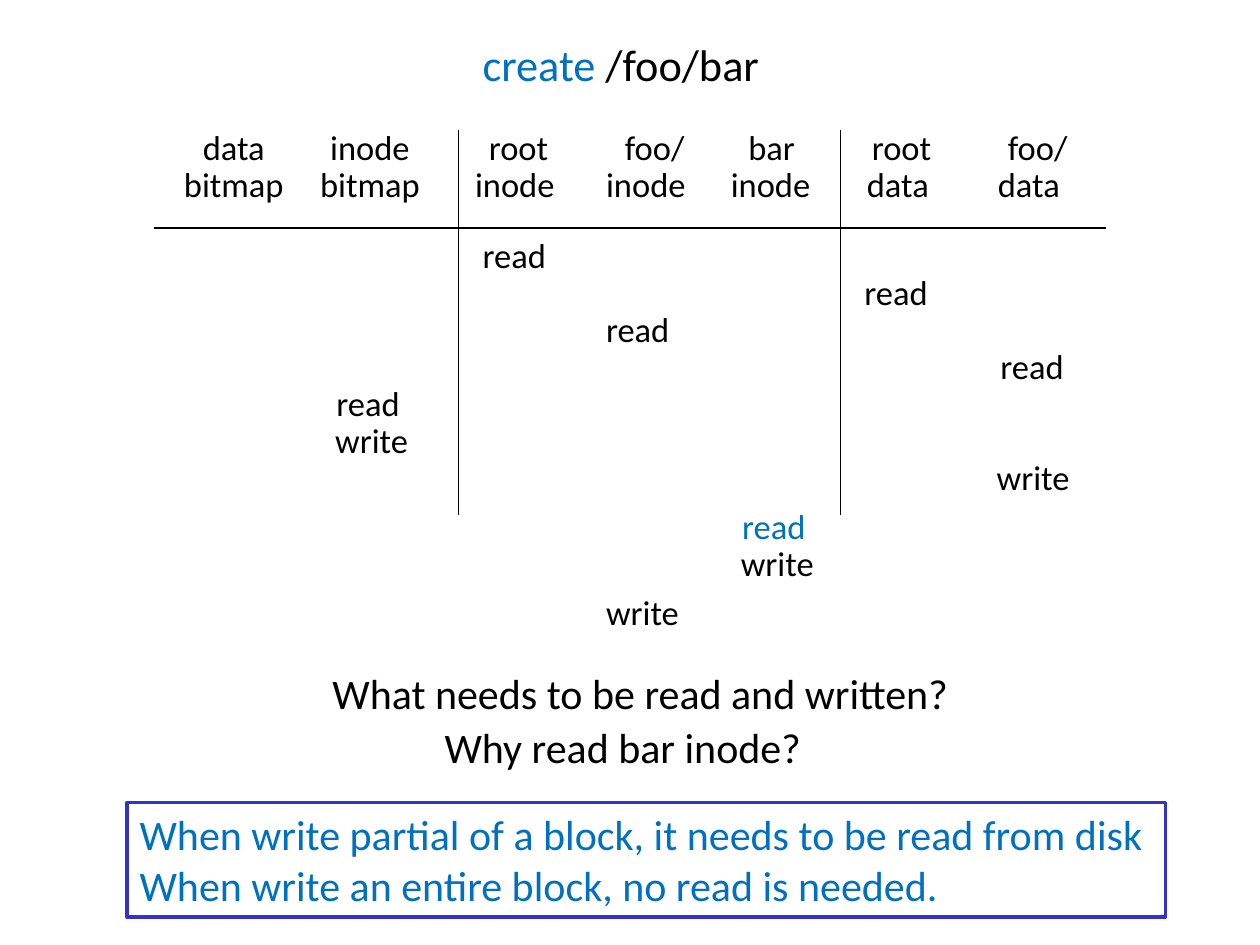
from lxml.etree import SubElement
from pptx import Presentation
from pptx.dml.color import RGBColor
from pptx.enum.shapes import MSO_CONNECTOR, MSO_SHAPE
from pptx.enum.text import MSO_ANCHOR, MSO_AUTO_SIZE, PP_ALIGN
from pptx.oxml.ns import qn
from pptx.util import Inches, Pt

COLORS = {"text": "000000", "accent": "0070C0", "border": "3333CC", "paper": "FFFFFF"}
FONT = "Calibri"
CELL_SIZE = 19.7
CELL_HEIGHT = 0.41
ROW_STEP = 0.293
WIDTHS = {"data": 0.58, "inode": 0.72, "root": 0.56, "foo/": 0.57, "bar": 0.46,
          "bitmap": 0.88, "read": 0.59, "write": 0.66}

HEADERS = [
    (("data", 0.35), ("bitmap", 0.2)),
    (("inode", 1.36), ("bitmap", 1.28)),
    (("root", 2.62), ("inode", 2.51)),
    (("foo/", 3.7), ("inode", 3.55)),
    (("bar", 4.68), ("inode", 4.54)),
    (("root", 5.66), ("data", 5.62)),
    (("foo/", 6.74), ("data", 6.66)),
]
ACCESSES = [
    ("read", 2.57, 0, "text"),
    ("read", 5.6, 1, "text"),
    ("read", 3.55, 2, "text"),
    ("read", 6.68, 3, "text"),
    ("read", 1.41, 4, "text"),
    ("write", 1.4, 5, "text"),
    ("write", 6.65, 6, "text"),
    ("read", 4.63, 7.33, "accent"),
    ("write", 4.62, 8.33, "text"),
    ("write", 3.55, 9.67, "text"),
]


def rgb(name):
    return RGBColor.from_string(COLORS[name])


def set_font(font, size, color):
    font.name = FONT
    font.size = Pt(size)
    font.color.rgb = rgb(color)


def tighten(tf):
    tf.margin_left = tf.margin_right = tf.margin_top = tf.margin_bottom = Inches(0.04)
    tf.vertical_anchor = MSO_ANCHOR.MIDDLE


def add_text(s, text, left, top, width, height, size, color="text"):
    sp = s.shapes.add_textbox(Inches(left), Inches(top), Inches(width), Inches(height))
    tf = sp.text_frame
    tf.word_wrap = False
    tf.auto_size = MSO_AUTO_SIZE.SHAPE_TO_FIT_TEXT
    p = tf.paragraphs[0]
    p.text = text
    set_font(p.font, size, color)
    return tf


def add_cell(s, word, left, top, color="text"):
    tighten(add_text(s, word, left, top, WIDTHS[word], CELL_HEIGHT, CELL_SIZE, color))


def add_line(s, x1, y1, x2, y2):
    line = s.shapes.add_connector(
        MSO_CONNECTOR.STRAIGHT, Inches(x1), Inches(y1), Inches(x2), Inches(y2))
    line.line.color.rgb = rgb("text")
    line.line.width = Pt(0.75)
    SubElement(line._element.spPr, qn("a:effectLst"))


def add_title(s, left, top, width, height):
    sp = s.shapes.title
    sp.left, sp.top, sp.width, sp.height = map(Inches, (left, top, width, height))
    tf = sp.text_frame
    tighten(tf)
    tf.word_wrap = False
    tf.auto_size = MSO_AUTO_SIZE.NONE
    p = tf.paragraphs[0]
    p.alignment = PP_ALIGN.LEFT
    for text, color in (("create", "accent"), (" /foo/bar", "text")):
        r = p.add_run()
        r.text = text
        set_font(r.font, 25.3, color)


def add_timeline(s, left, top, width):
    for header in HEADERS:
        for row, (word, x) in enumerate(header):
            add_cell(s, word, left + x, top + row * ROW_STEP)
    add_line(s, left, top + 0.85, left + width, top + 0.85)
    for x in (2.42, 5.45):
        add_line(s, left + x, top + 0.07, left + x, top + 3.13)
    for word, x, row, color in ACCESSES:
        add_cell(s, word, left + x, top + 0.86 + row * ROW_STEP, color)


def add_questions(s, left, top):
    add_text(s, "What needs to be read and written?", left, top, 5.14, 0.5, 24)
    add_text(s, "Why read bar inode?", left + 0.89, top + 0.43, 3.13, 0.5, 24)


def add_answer(s, left, top, width, height):
    sp = s.shapes.add_shape(
        MSO_SHAPE.RECTANGLE, Inches(left), Inches(top), Inches(width), Inches(height))
    sp.shadow.inherit = False
    sp.fill.solid()
    sp.fill.fore_color.rgb = rgb("paper")
    sp.line.color.rgb = rgb("border")
    sp.line.width = Pt(2)
    tf = sp.text_frame
    tf.word_wrap = False
    tf.vertical_anchor = MSO_ANCHOR.TOP
    tf.text = ("When write partial of a block, it needs to be read from disk\n"
               "When write an entire block, no read is needed.")
    for p in tf.paragraphs:
        p.alignment = PP_ALIGN.LEFT
        set_font(p.font, 24, "accent")


def main():
    prs = Presentation()
    prs.slide_width, prs.slide_height = Inches(10), Inches(7.5)
    s = prs.slides.add_slide(prs.slide_layouts[5])
    add_title(s, 3.79, 0.26, 2.3, 0.5)
    add_timeline(s, 1.22, 0.96, 7.56)
    add_questions(s, 2.54, 5.25)
    add_answer(s, 1.01, 6.37, 8.24, 0.91)
    prs.save("out.pptx")


if __name__ == "__main__":
    main()
